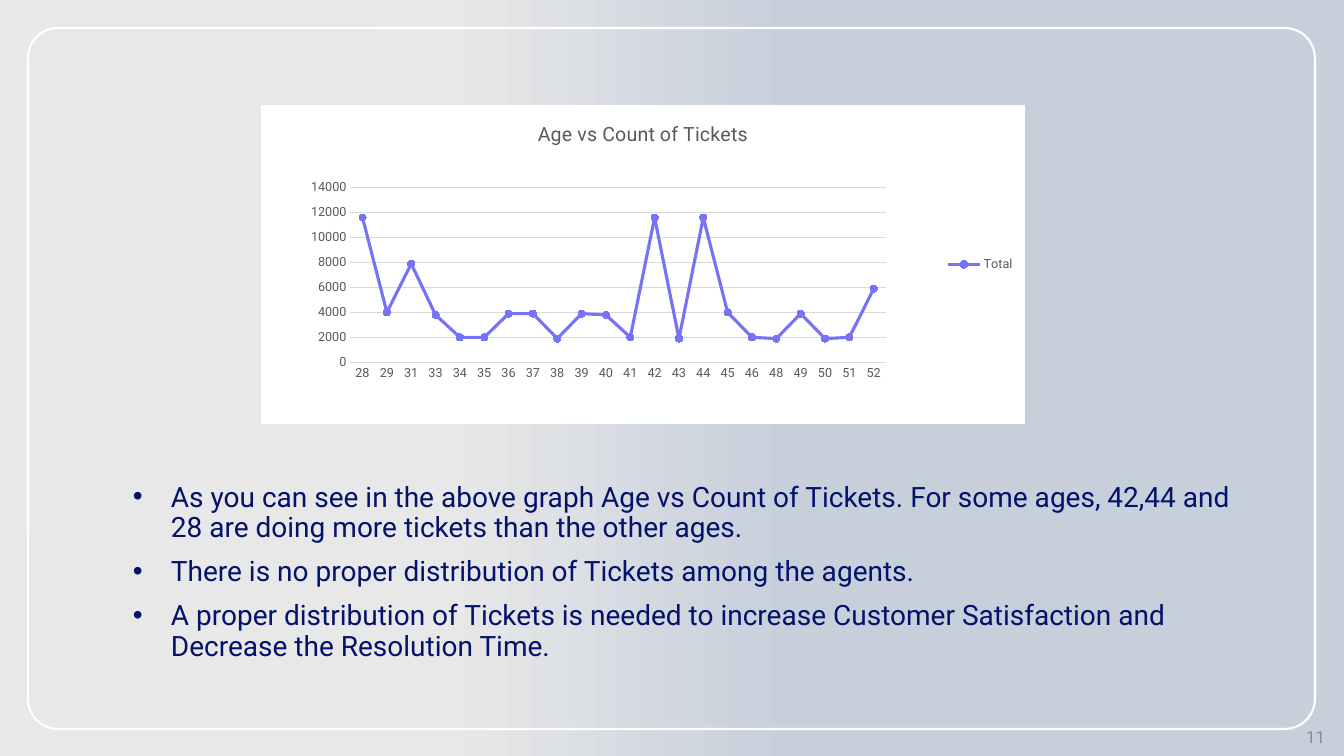
import pptx
import pptx.util
import pptx.chart.data
import pptx.dml.color
import pptx.enum.chart
import pptx.enum.shapes
import pptx.enum.text
import pptx.oxml

Pt = pptx.util.Pt
RGB = pptx.dml.color.RGBColor
PX = 12192000 / 1344
FONT = "Roboto"
WHITE = RGB(0xFF, 0xFF, 0xFF)
PALE = RGB(0xE8, 0xE8, 0xE8)
MIST = RGB(0xC7, 0xCF, 0xDB)
NAVY = RGB(0x03, 0x12, 0x6A)
GRAY = RGB(0x8C, 0x8C, 0x8C)
DARK = RGB(0x59, 0x59, 0x59)
RULE = RGB(0xD9, 0xD9, 0xD9)
VIOLET = RGB(0x76, 0x73, 0xF7)


def box(*sides):
    """Turn px lengths into EMU."""
    return [round(side * PX) for side in sides]


def style(font, size, color):
    font.name, font.size, font.bold = FONT, Pt(size), False
    font.color.rgb = color


deck = pptx.Presentation()
deck.slide_width, deck.slide_height = box(1344, 756)
slide = deck.slides.add_slide(deck.slide_layouts[6])
shapes = slide.shapes

# Background and frame
back = slide.background.fill
back.gradient()
back.gradient_angle = 0
for stop, place, color in zip(back.gradient_stops, (0.33, 0.59), (PALE, MIST)):
    stop.position = place
    stop.color.rgb = color

frame = shapes.add_shape(pptx.enum.shapes.MSO_SHAPE.ROUNDED_RECTANGLE,
                         *box(28, 28, 1287, 701))
frame.adjustments[0] = 0.043
frame.shadow.inherit = False
frame.fill.background()
frame.line.color.rgb = WHITE
frame.line.width = Pt(1.5)

# Findings
points = [
    "As you can see in the above graph Age vs Count of Tickets. "
    "For some ages, 42,44 and 28 are doing more tickets than the other ages.",
    "There is no proper distribution of Tickets among the agents.",
    "A proper distribution of Tickets is needed to increase Customer "
    "Satisfaction and Decrease the Resolution Time.",
]
body = shapes.add_textbox(*box(123, 478, 1129, 192)).text_frame
body.word_wrap = True
body.text = "\n".join(points)
indent, = box(38)
for para in body.paragraphs:
    style(para.font, 20, NAVY)
    para.line_spacing = 0.9
    para.space_before = Pt(10)
    props = para._p.get_or_add_pPr()
    props.set("marL", str(indent))
    props.set("indent", str(-indent))
    for tag, key, value in (("buFont", "typeface", "Arial"),
                            ("buChar", "char", "•")):
        bullet = pptx.oxml.xmlchemy.OxmlElement("a:" + tag)
        bullet.set(key, value)
        props.insert_element_before(bullet, "a:tabLst", "a:defRPr", "a:extLst")

# Page number
page = shapes.add_textbox(*box(1033, 724, 302, 25)).text_frame
page.word_wrap = True
page.vertical_anchor = pptx.enum.text.MSO_ANCHOR.MIDDLE
page.text = "11"
page.paragraphs[0].alignment = pptx.enum.text.PP_ALIGN.RIGHT
style(page.paragraphs[0].font, 12, GRAY)

# Chart
tickets = {
    28: 11600, 29: 4000, 31: 7900, 33: 3800, 34: 2000, 35: 2000, 36: 3900,
    37: 3900, 38: 1900, 39: 3900, 40: 3800, 41: 2000, 42: 11600, 43: 1900,
    44: 11600, 45: 4000, 46: 2000, 48: 1900, 49: 3900, 50: 1900, 51: 2000,
    52: 5900,
}
data = pptx.chart.data.CategoryChartData()
data.categories = [str(age) for age in tickets]
data.add_series("Total", tickets.values())
kinds = pptx.enum.chart
chart = shapes.add_chart(kinds.XL_CHART_TYPE.LINE_MARKERS,
                         *box(261, 105, 764, 319), data).chart
style(chart.font, 10, DARK)

chart.has_title = True
title = chart.chart_title.text_frame
title.text = "Age vs Count of Tickets"
style(title.paragraphs[0].font, 14, DARK)

chart.has_legend = True
chart.legend.position = kinds.XL_LEGEND_POSITION.RIGHT
chart.legend.include_in_layout = False
style(chart.legend.font, 9, DARK)

ages, counts = chart.category_axis, chart.value_axis
for axis in (ages, counts):
    axis.major_tick_mark = axis.minor_tick_mark = kinds.XL_TICK_MARK.NONE
    style(axis.tick_labels.font, 9, DARK)
counts.minimum_scale, counts.maximum_scale, counts.major_unit = 0, 14000, 2000
counts.format.line.fill.background()
for line in (ages.format.line, counts.major_gridlines.format.line):
    line.color.rgb = RULE
    line.width = Pt(0.75)

plot = chart.plots[0]
plot.vary_by_categories = False
total = plot.series[0]
total.smooth = False
total.format.line.color.rgb = VIOLET
total.format.line.width = Pt(2.25)
dot = total.marker
dot.style, dot.size = kinds.XL_MARKER_STYLE.CIRCLE, 5
dot.format.fill.solid()
dot.format.fill.fore_color.rgb = VIOLET
dot.format.line.color.rgb = VIOLET

# Plot area place and white chart ground
NS = ('xmlns:c="http://schemas.openxmlformats.org/drawingml/2006/chart" '
      'xmlns:a="http://schemas.openxmlformats.org/drawingml/2006/main"')
area = chart._chartSpace.chart.plotArea
for old in area.findall(pptx.oxml.ns.qn("c:layout")):
    area.remove(old)
spots = "".join(f'<c:{tag} val="{val}"/>' for tag, val in (
    ("layoutTarget", "inner"), ("xMode", "edge"), ("yMode", "edge"),
    ("x", 0.117), ("y", 0.259), ("w", 0.701), ("h", 0.548)))
area.insert(0, pptx.oxml.parse_xml(
    f"<c:layout {NS}><c:manualLayout>{spots}</c:manualLayout></c:layout>"))
chart._chartSpace.chart.addnext(pptx.oxml.parse_xml(
    f'<c:spPr {NS}><a:solidFill><a:srgbClr val="{WHITE}"/></a:solidFill>'
    "<a:ln><a:noFill/></a:ln></c:spPr>"))

deck.save("out.pptx")
